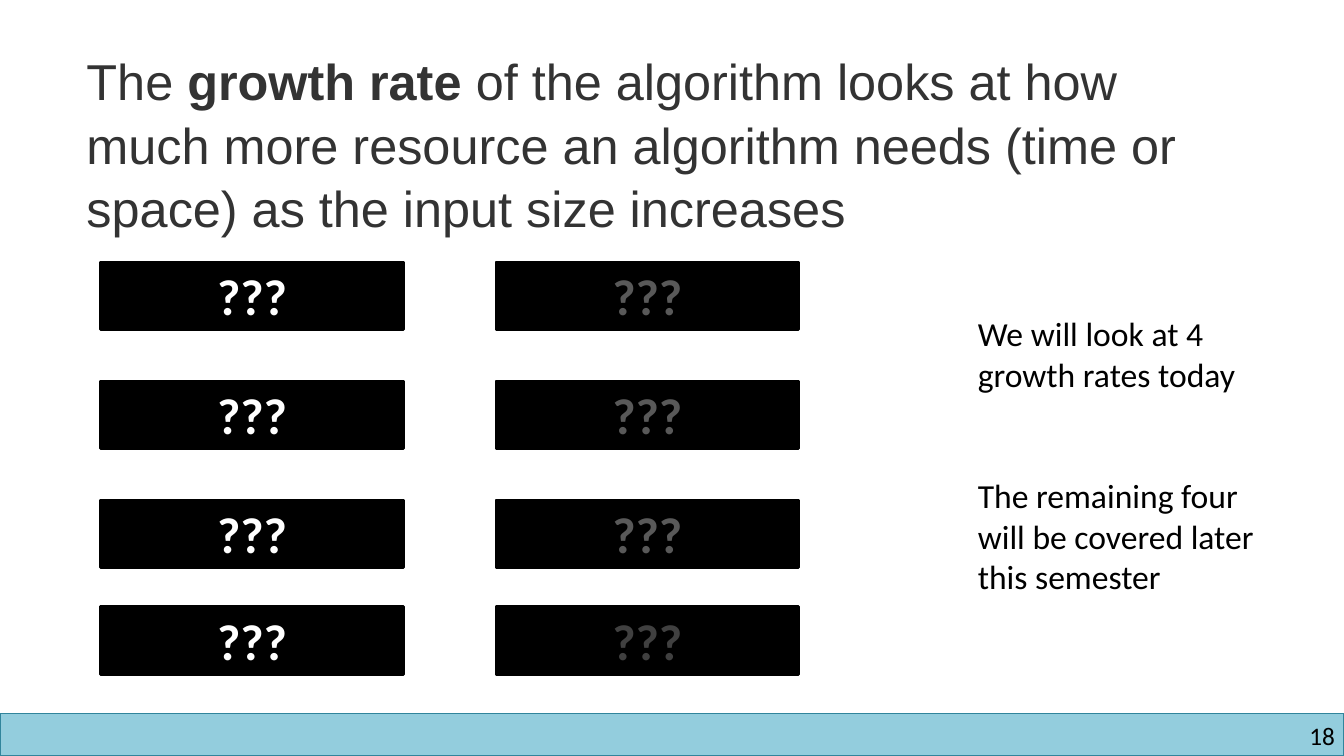
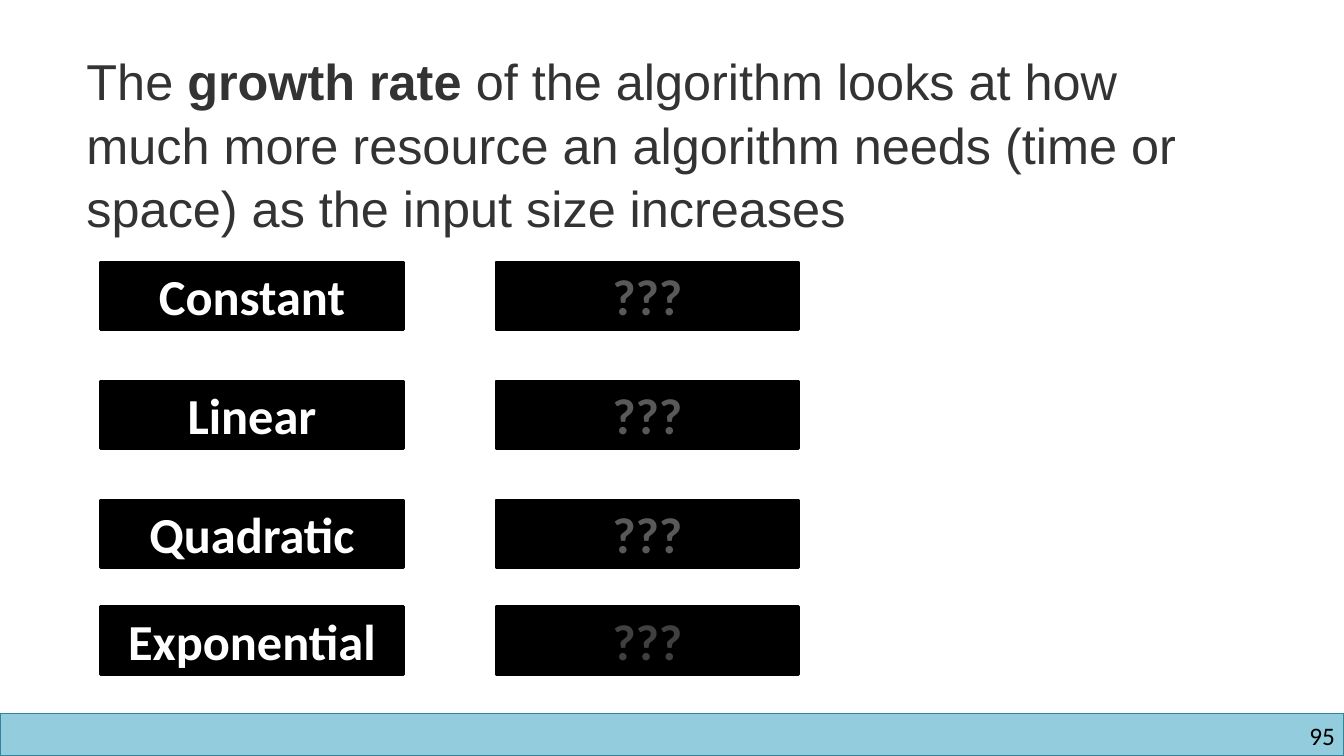
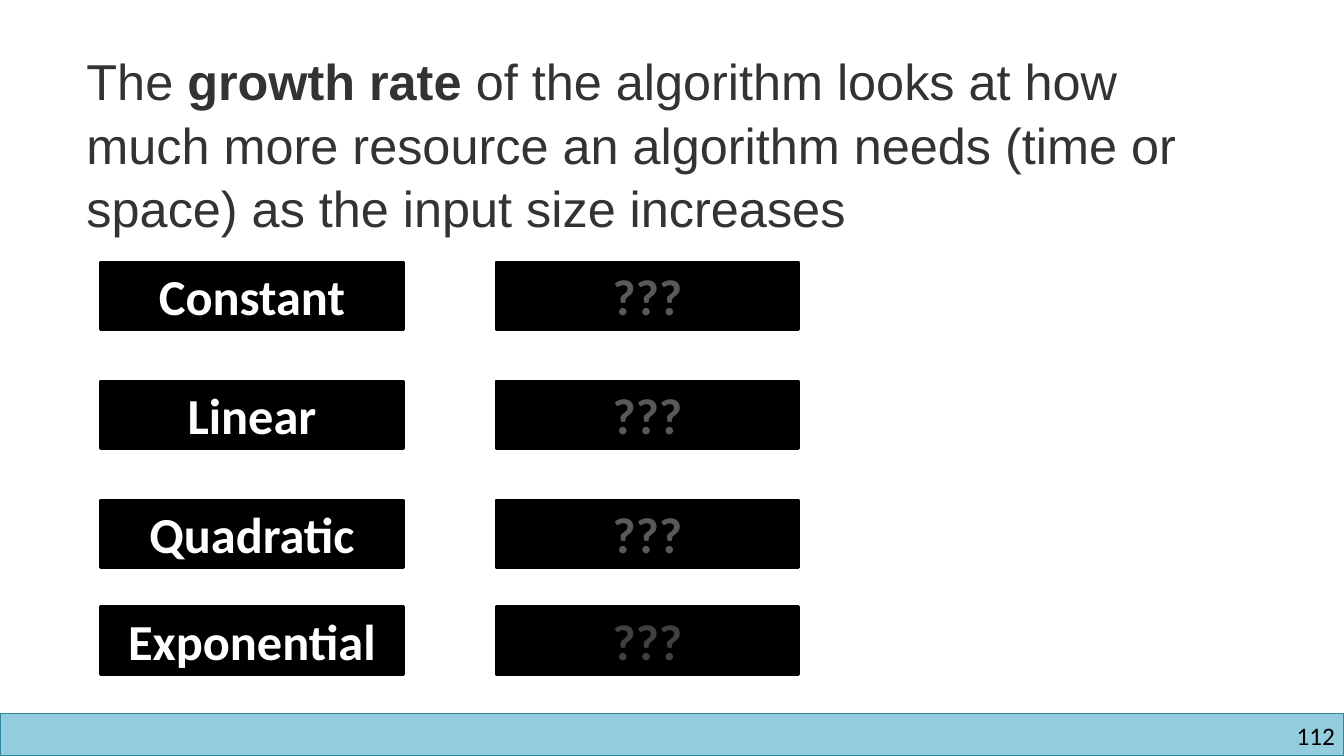
from pptx import Presentation
from pptx.dml.color import RGBColor
from pptx.enum.shapes import MSO_SHAPE
from pptx.enum.text import MSO_ANCHOR, PP_ALIGN
from pptx.util import Inches, Pt

RECT = MSO_SHAPE.RECTANGLE
MIDDLE = MSO_ANCHOR.MIDDLE
LEFT, CENTER, RIGHT = PP_ALIGN.LEFT, PP_ALIGN.CENTER, PP_ALIGN.RIGHT

WIDE, HIGH = 13.33, 7.5
BAND_TOP = 7.08
HEAD, BODY = "Arial", "Calibri"
COLOR = {
    "band": "93CDDD", "edge": "31859C", "title": "333333",
    "black": "000000", "white": "FFFFFF", "gray": "595959", "dark": "404040",
}

# Grid of boxes: the last row sits a little closer
COLS = [1 + 3.92 * i for i in range(2)]
ROWS = [2.6 + 1.18 * i for i in range(3)] + [6.02]
BOX_W, BOX_H = 3, 0.67

TITLE = [
    ("The", False),
    (" growth rate ", True),
    ("of the algorithm looks at how much more resource an algorithm needs "
     "(time or space) as the input size increases", False),
]
HIDDEN = ["???"] * 4
RATES = ["Constant", "Linear", "Quadratic", "Exponential"]
NOTES = [
    "We will look at 4 growth rates today",
    "The remaining four will be covered later this semester",
]
SLIDES = [(18, HIDDEN, NOTES), (95, RATES, []), (112, RATES, [])]


def rgb(name):
    return RGBColor.from_string(COLOR[name])


def style(para, size, color, face=BODY, align=LEFT):
    para.alignment = align
    font = para.font
    font.size, font.name = Pt(size), face
    font.color.rgb = rgb(color)


def add_rect(slide, x, y, w, h, fill, edge, width):
    rect = slide.shapes.add_shape(RECT, Inches(x), Inches(y),
                                  Inches(w), Inches(h))
    rect.shadow.inherit = False
    rect.fill.solid()
    rect.fill.fore_color.rgb = rgb(fill)
    rect.line.color.rgb = rgb(edge)
    rect.line.width = Pt(width)
    return rect


def add_text(slide, x, y, w, h):
    frame = slide.shapes.add_textbox(Inches(x), Inches(y),
                                     Inches(w), Inches(h)).text_frame
    frame.word_wrap = True
    return frame


def add_title(slide):
    para = add_text(slide, 0.76, 0.42, 11.04, 1.92).paragraphs[0]
    para.line_spacing = 1.05
    for words, bold in TITLE:
        run = para.add_run()
        run.text, run.font.bold = words, bold
    style(para, 36, "title", HEAD)


def add_foot(slide, number):
    add_rect(slide, 0, BAND_TOP, WIDE, HIGH - BAND_TOP, "band", "edge", 1)
    frame = add_text(slide, 10.17, 7.15, 3.07, 0.3)
    frame.margin_left = frame.margin_right = 0
    frame.margin_top = frame.margin_bottom = 0
    para = frame.paragraphs[0]
    para.text = str(number)
    style(para, 18, "black", align=RIGHT)


def add_box(slide, col, row, label, color):
    box = add_rect(slide, COLS[col], ROWS[row], BOX_W, BOX_H,
                   "black", "black", 2)
    frame = box.text_frame
    frame.vertical_anchor = MIDDLE
    para = frame.paragraphs[0]
    para.text = label
    style(para, 36, color, align=CENTER)
    para.font.bold = True


def add_notes(slide, notes):
    frame = add_text(slide, 9.6, 3.06, 3, 3.33)
    for i, note in enumerate(notes):
        para = frame.add_paragraph() if i else frame.paragraphs[0]
        para.text = note
        style(para, 24, "black")
        if i:
            para.space_before = Pt(58)


def main():
    deck = Presentation()
    deck.slide_width, deck.slide_height = Inches(WIDE), Inches(HIGH)
    blank = deck.slide_layouts[6]
    last = len(ROWS) - 1
    for number, labels, notes in SLIDES:
        slide = deck.slides.add_slide(blank)
        add_foot(slide, number)
        add_title(slide)
        # Known rates on the left, later ones on the right
        for row, label in enumerate(labels):
            add_box(slide, 0, row, label, "white")
            add_box(slide, 1, row, "???", "dark" if row == last else "gray")
        if notes:
            add_notes(slide, notes)
    deck.save("out.pptx")


if __name__ == "__main__":
    main()
